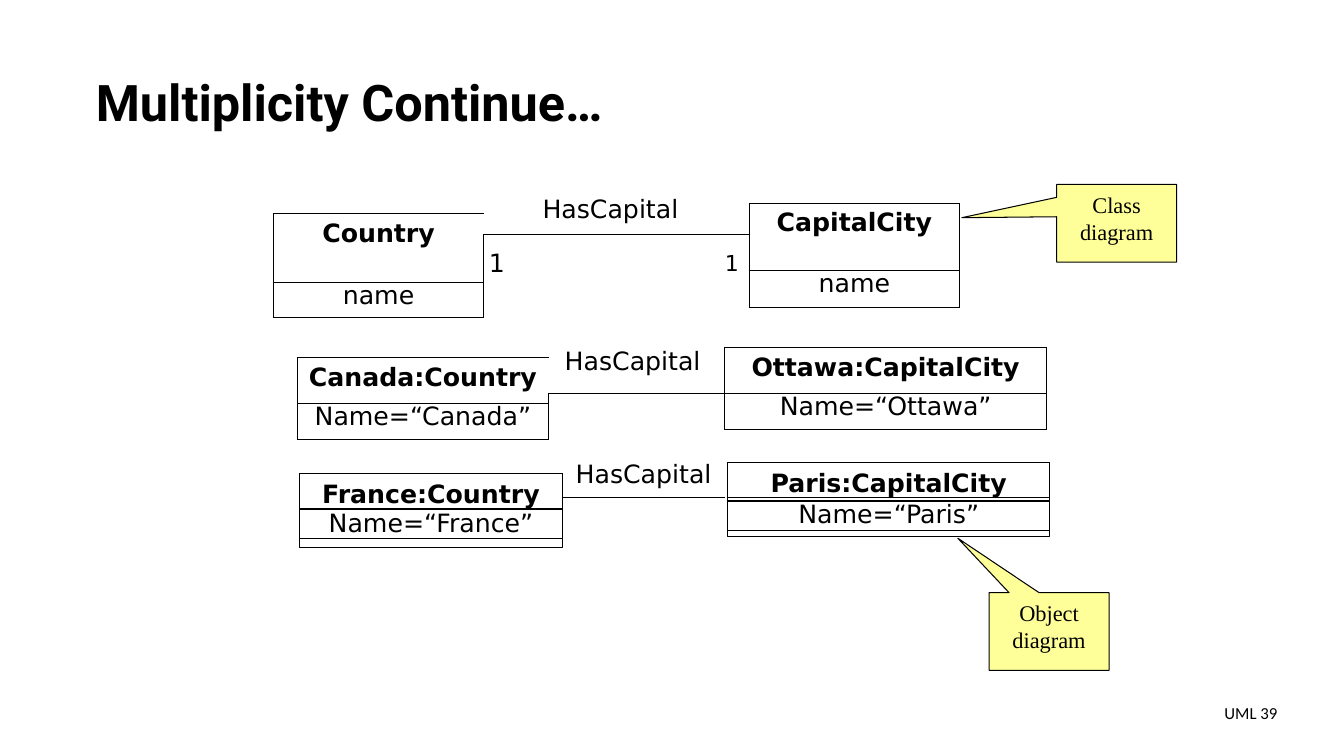
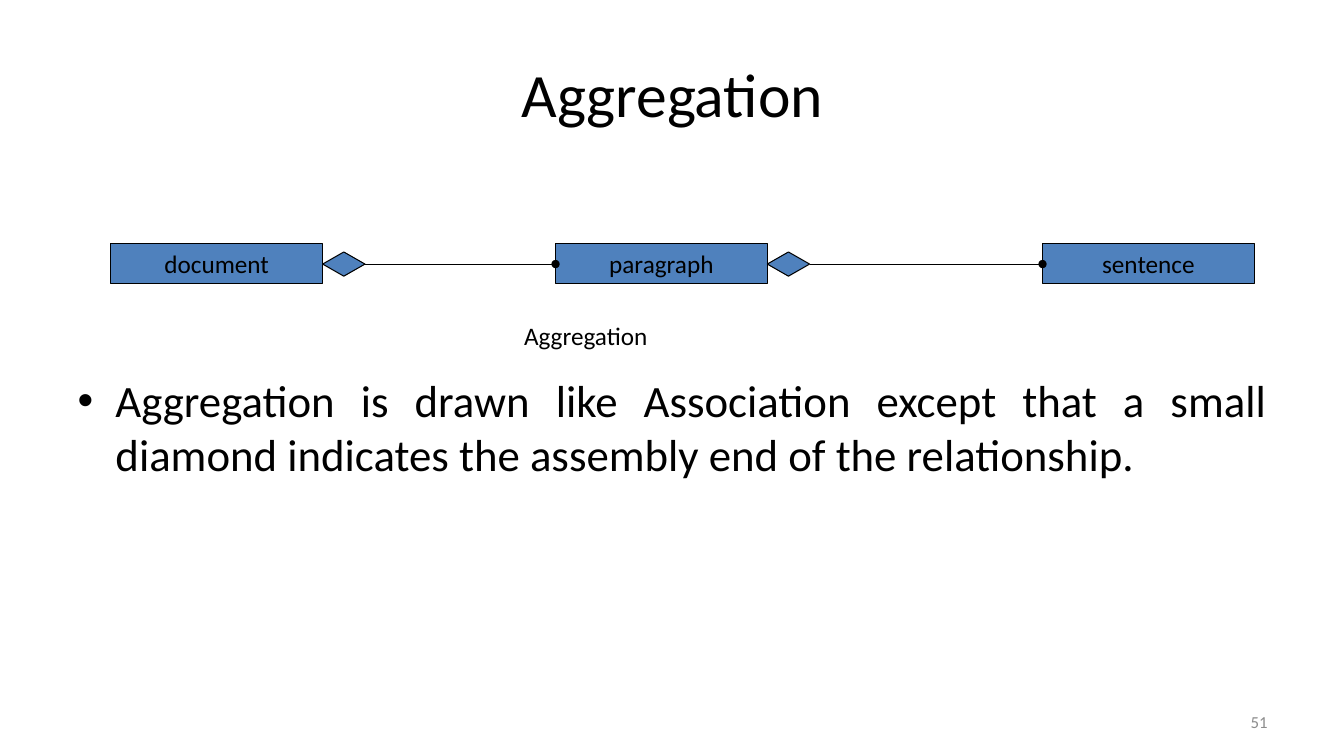
from dataclasses import dataclass

from lxml import etree
from pptx import Presentation
from pptx.dml.color import RGBColor
from pptx.enum.shapes import MSO_CONNECTOR, MSO_SHAPE
from pptx.enum.text import MSO_ANCHOR, PP_ALIGN
from pptx.oxml.ns import qn
from pptx.util import Inches, Pt

# Shared style
HEX = {"ink": "000000", "note": "FFFF99", "blue": "4F81BD", "gray": "8C8C8C"}
BASE, UML, HEAD, NOTE = "Calibri", "DejaVu Sans", "Roboto", "Times New Roman"
RECT, WEDGE = MSO_SHAPE.RECTANGLE, MSO_SHAPE.RECTANGULAR_CALLOUT
GEM = MSO_SHAPE.FLOWCHART_DECISION
LINE = MSO_CONNECTOR.STRAIGHT
LEFT, MID, RIGHT, JUST = (PP_ALIGN.LEFT, PP_ALIGN.CENTER,
                          PP_ALIGN.RIGHT, PP_ALIGN.JUSTIFY)
TOP, MIDDLE = MSO_ANCHOR.TOP, MSO_ANCHOR.MIDDLE
STROKE = Pt(0.75)
SIDES = "LRTB"


@dataclass
class Run:
    text: str
    size: float = 18
    font: str = UML
    bold: bool = False
    color: str = "ink"
    base: int = 0


@dataclass
class Cell:
    row: int
    col: int
    span: int
    runs: list[Run]
    edges: str = SIDES
    top: float = 0.0
    before: float = 0.0
    line: float | None = None
    left: float = 0.0
    right: float = 0.0
    tab: float | None = None


@dataclass
class Grid:
    x: float
    y: float
    cols: list[float]
    rows: list[float]
    cells: list[Cell]


@dataclass
class Thing:
    x: float
    y: float
    w: float
    title: str
    name: str
    drop: float


@dataclass
class Call:
    x: float
    y: float
    text: str
    tip: tuple[float, float]


def rgb(key: str) -> RGBColor:
    return RGBColor.from_string(HEX[key])


def head(row: int, col: int, span: int, text: str) -> Cell:
    return Cell(row, col, span, [Run(text, bold=True)], top=0.05, before=3.7)


def name(row: int, col: int, text: str) -> Cell:
    return Cell(row, col, 2, [Run(text)], line=20)


def blank(row: int, col: int, span: int, edges: str) -> Cell:
    return Cell(row, col, span, [], edges)


# Class diagram, then object diagram
GRIDS = [
    Grid(2.71, 2.02, [2.09, 2.63, 2.09], [0.1, 0.2, 0.36, 0.11, 0.25, 0.1], [
        blank(0, 0, 1, "B"),
        Cell(0, 1, 2, [Run("HasCapital")], "RB", line=14.9, right=0.12),
        head(0, 2, 3, "CapitalCity"),
        head(1, 0, 3, "Country"),
        Cell(2, 1, 4, [Run("1\t"), Run("1", 27, base=3)], "LTR",
             top=0.03, before=2.1, left=0.05, tab=2.34),
        name(3, 2, "name"),
        name(4, 0, "name"),
        blank(5, 2, 1, "T"),
    ]),
    Grid(2.95, 3.45, [2.49, 1.75, 3.19], [0.1, 0.35, 0.1, 0.26, 0.1], [
        blank(0, 0, 1, "B"),
        Cell(0, 1, 2, [Run("HasCapital")], "RB", line=20.4, right=0.08),
        head(0, 2, 2, "Ottawa:CapitalCity"),
        head(1, 0, 2, "Canada:Country"),
        blank(2, 1, 3, "LTR"),
        name(2, 2, "Name=“Ottawa”"),
        name(3, 0, "Name=“Canada”"),
        blank(4, 2, 1, "T"),
    ]),
]
THINGS = [
    Thing(2.97, 4.7, 2.61, "France:Country", "Name=“France”", 0.35),
    Thing(7.22, 4.59, 3.19, "Paris:CapitalCity", "Name=“Paris”", 0.38),
]
CALLS = [
    Call(10.48, 1.83, "Class diagram", (9.54, 2.16)),
    Call(9.81, 5.88, "Object diagram", (9.5, 5.34)),
]


# Text and shape helpers
def write(frame, runs: list[Run], align=LEFT, before: float = 0,
          line: float | None = None):
    para = frame.paragraphs[0]
    para.alignment = align
    para.space_before = Pt(before)
    if line:
        para.line_spacing = Pt(line)
    for item in runs:
        run = para.add_run()
        run.text = item.text
        font = run.font
        font.name, font.size, font.bold = item.font, Pt(item.size), item.bold
        font.color.rgb = rgb(item.color)
        if item.base:
            run._r.get_or_add_rPr().set("baseline", str(item.base * 1000))
    return para


def inset(item, left: float = 0, top: float = 0, right: float = 0) -> None:
    item.margin_left, item.margin_top = Inches(left), Inches(top)
    item.margin_right, item.margin_bottom = Inches(right), 0


def place(shape, x: float, y: float, w: float, h: float) -> None:
    shape.left, shape.top = Inches(x), Inches(y)
    shape.width, shape.height = Inches(w), Inches(h)


def title(slide, box: tuple[float, ...], run: Run) -> None:
    shape = slide.shapes.title
    place(shape, *box)
    frame = shape.text_frame
    inset(frame)
    frame.vertical_anchor = MIDDLE
    write(frame, [run], MID)


def label(slide, box: tuple[float, ...], run: Run, align=LEFT,
          side: float = 0, anchor=TOP) -> None:
    frame = slide.shapes.add_textbox(*map(Inches, box)).text_frame
    frame.word_wrap = True
    inset(frame, side, 0.02, side)
    frame.vertical_anchor = anchor
    write(frame, [run], align)


def draw(slide, kind, box: tuple[float, ...], fill: str | None = None):
    shape = slide.shapes.add_shape(kind, *map(Inches, box))
    shape.shadow.inherit = False
    if fill:
        shape.fill.solid()
        shape.fill.fore_color.rgb = rgb(fill)
    else:
        shape.fill.background()
    shape.line.color.rgb = rgb("ink")
    shape.line.width = STROKE
    shape.text_frame.word_wrap = True
    inset(shape.text_frame)
    return shape


def link(slide, x1: float, x2: float, y: float, dot: bool = False) -> None:
    line = slide.shapes.add_connector(
        LINE, Inches(x1), Inches(y), Inches(x2), Inches(y))
    line.line.color.rgb = rgb("ink")
    line.line.width = STROKE
    if dot:
        etree.SubElement(line.line._get_or_add_ln(), qn("a:tailEnd"), type="oval")
    etree.SubElement(line._element.spPr, qn("a:effectLst"))


# Table helpers
def edge(cell, edges: str) -> None:
    prop = cell._tc.get_or_add_tcPr()
    for spot, side in enumerate(SIDES):
        line = etree.Element(qn(f"a:ln{side}"), w=str(STROKE))
        if side in edges:
            fill = etree.SubElement(line, qn("a:solidFill"))
            etree.SubElement(fill, qn("a:srgbClr"), val=HEX["ink"])
        else:
            etree.SubElement(line, qn("a:noFill"))
        prop.insert(spot, line)


def table(slide, grid: Grid) -> None:
    tab = slide.shapes.add_table(
        len(grid.rows), len(grid.cols), Inches(grid.x), Inches(grid.y),
        Inches(sum(grid.cols)), Inches(sum(grid.rows))).table
    tab.first_row = tab.horz_banding = False
    for col, wide in zip(tab.columns, grid.cols):
        col.width = Inches(wide)
    for row, high in zip(tab.rows, grid.rows):
        row.height = Inches(high)
    for cell in tab.iter_cells():
        cell.fill.background()
        inset(cell)
    for item in grid.cells:
        cell = tab.cell(item.row, item.col)
        if item.span > 1:
            cell.merge(tab.cell(item.row + item.span - 1, item.col))
        inset(cell, item.left, item.top, item.right)
        edge(cell, item.edges)
        para = write(cell.text_frame, item.runs, LEFT if item.tab else MID,
                     item.before, item.line)
        if item.tab:
            tabs = etree.SubElement(para._p.get_or_add_pPr(), qn("a:tabLst"))
            etree.SubElement(tabs, qn("a:tab"), pos=str(Inches(item.tab)), algn="l")
    # Tiny type lets empty cells keep the thin rows
    for cell in tab.iter_cells():
        para = cell.text_frame.paragraphs[0]
        if not para.runs:
            etree.SubElement(para._p, qn("a:endParaRPr"), sz="100")


# Slide parts
def thing(slide, item: Thing) -> None:
    draw(slide, RECT, (item.x, item.y, item.w, 0.73))
    top = draw(slide, RECT, (item.x, item.y, item.w, 0.35)).text_frame
    low = draw(slide, RECT, (item.x, item.y + item.drop, item.w, 0.29)).text_frame
    inset(top, top=0.05)
    for frame in (top, low):
        frame.vertical_anchor = TOP
    write(top, [Run(item.title, bold=True)], MID, 3.7)
    write(low, [Run(item.name)], MID, line=20)


def call(slide, item: Call) -> None:
    wide, high = 1.19, 0.77
    shape = draw(slide, WEDGE, (item.x, item.y, wide, high), "note")
    shape.adjustments[0] = (item.tip[0] - item.x) / wide - 0.5
    shape.adjustments[1] = (item.tip[1] - item.y) / high - 0.5
    frame = shape.text_frame
    inset(frame, 0.2, 0.07, 0.2)
    frame.vertical_anchor = TOP
    write(frame, [Run(item.text, 16, NOTE)], MID, line=19.1)


def multi(deck) -> None:
    slide = deck.slides.add_slide(deck.slide_layouts[5])
    title(slide, (0.83, 0.7, 5.27, 0.62),
          Run("Multiplicity Continue…", 36, HEAD, True))
    for grid in GRIDS:
        table(slide, grid)
    for item in THINGS:
        thing(slide, item)
    link(slide, 5.58, 7.19, 4.94)
    label(slide, (5.71, 4.53, 1.4, 0.32), Run("HasCapital"))
    for note in CALLS:
        call(slide, note)
    label(slide, (9.56, 6.95, 3.11, 0.22), Run("UML 39", 12, BASE), RIGHT,
          anchor=MIDDLE)


def whole(deck) -> None:
    slide = deck.slides.add_slide(deck.slide_layouts[1])
    title(slide, (0.67, 0.3, 12, 1.25), Run("Aggregation", 44, BASE))
    body = slide.placeholders[1]
    place(body, 0.67, 3.65, 12, 3.05)
    write(body.text_frame, [Run(
        "Aggregation is drawn like Association except that a small "
        "diamond indicates the assembly end of the relationship.",
        32, BASE)], JUST)
    # Chain of parts
    lefts, wide, gem, mid = [1.1, 5.51, 10.34], 2.1, 0.42, 2.62
    for left, text in zip(lefts, ["document", "paragraph", "sentence"]):
        box = draw(slide, RECT, (left, mid - 0.2, wide, 0.39), "blue")
        box.text_frame.vertical_anchor = MIDDLE
        write(box.text_frame, [Run(text, font=BASE)], MID)
    for left, end in zip(lefts, lefts[1:]):
        draw(slide, GEM, (left + wide, mid - 0.12, gem, 0.24), "blue")
        link(slide, left + wide + gem, end, mid, dot=True)
    label(slide, (5.1, 3.16, 1.6, 0.4), Run("Aggregation", font=BASE), side=0.1)
    label(slide, (9.56, 6.95, 3.11, 0.4), Run("51", 12, BASE, color="gray"),
          RIGHT, 0.1, MIDDLE)


def main() -> None:
    deck = Presentation()
    deck.slide_width, deck.slide_height = Inches(13.33), Inches(7.5)
    multi(deck)
    whole(deck)
    deck.save("out.pptx")


if __name__ == "__main__":
    main()
